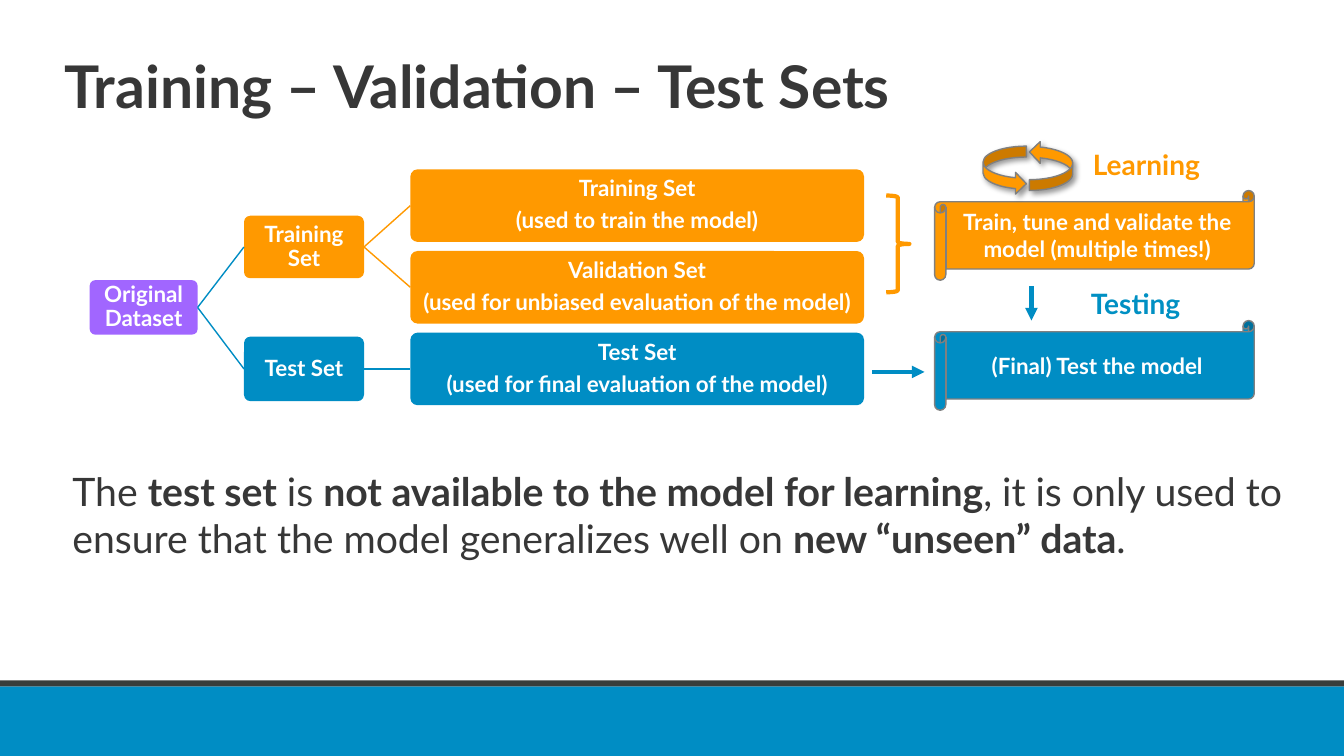
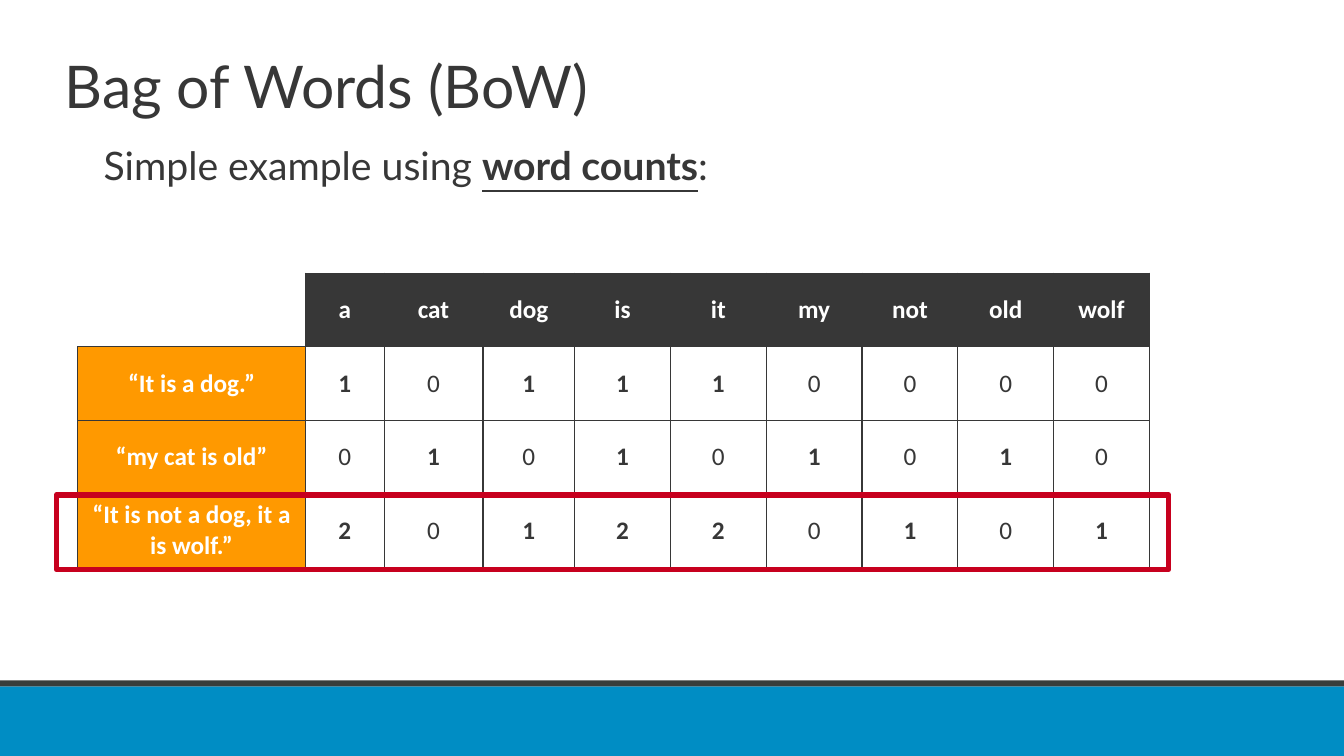
import lxml.etree
import pptx
import pptx.util
import pptx.dml.color
import pptx.enum.shapes
import pptx.enum.text
import pptx.oxml.ns

Inches = pptx.util.Inches
Pt = pptx.util.Pt
qn = pptx.oxml.ns.qn
add = lxml.etree.SubElement
kinds = pptx.enum.shapes.MSO_SHAPE
straight = pptx.enum.shapes.MSO_CONNECTOR.STRAIGHT
align = pptx.enum.text.PP_ALIGN
anchor = pptx.enum.text.MSO_ANCHOR
color = pptx.dml.color.RGBColor.from_string

hues = {
    "blue": "008DC4", "label": "0090C3", "orange": "FF9900",
    "purple": "A166FF", "red": "C7001E", "gray": "808080",
    "ink": "373737", "strip": "383D3B", "white": "FFFFFF",
}


def write(frame, text, size=16, hue="white", bold=False, side=align.CENTER,
          space=1.0, after=0, font="Lato", under=False):
    frame.word_wrap = True
    for n, line in enumerate(text.split("\n")):
        para = frame.paragraphs[0] if n == 0 else frame.add_paragraph()
        para.alignment = side
        para.line_spacing = space
        para.space_before = Pt(0)
        para.space_after = Pt(after)
        for k, part in enumerate(line.split("*")):
            if part:
                run = para.add_run()
                run.text = part
                run.font.name = font
                run.font.size = Pt(size)
                run.font.color.rgb = color(hues[hue])
                run.font.bold = bold or k % 2 == 1
                run.font.underline = under and k % 2 == 1


def draw(slide, kind, spot, fill=None, line=None, width=1):
    shape = slide.shapes.add_shape(kind, *map(Inches, spot))
    shape.shadow.inherit = False
    if fill:
        shape.fill.solid()
        shape.fill.fore_color.rgb = color(hues[fill])
    else:
        shape.fill.background()
    if line:
        shape.line.color.rgb = color(hues[line])
        shape.line.width = Pt(width)
    else:
        shape.line.fill.background()
    return shape


deck = pptx.Presentation()
deck.slide_width = Inches(13.33)
deck.slide_height = Inches(7.5)

slides = []
for text, bold in [("Training – Validation – Test Sets", True),
                   ("Bag of Words (BoW)", False)]:
    slide = deck.slides.add_slide(deck.slide_layouts[5])
    draw(slide, kinds.RECTANGLE, (0, 6.81, 13.33, 0.69), "blue")
    draw(slide, kinds.RECTANGLE, (0, 6.75, 13.33, 0.06), "strip")
    title = slide.shapes.title
    title.left, title.top = Inches(0.54), Inches(0.52)
    title.width, title.height = Inches(11.5), Inches(1.09)
    title.text_frame.vertical_anchor = anchor.TOP
    title.text_frame.auto_size = pptx.enum.text.MSO_AUTO_SIZE.NONE
    write(title.text_frame, text, size=42, hue="ink", bold=bold,
          side=align.LEFT, space=0.9)
    slides.append(slide)
sets, bag = slides

notes = [
    (sets, (0.62, 4.59, 12.31, 1.99),
     "The *test set* is *not available to the model for learning*, it is only "
     "used to ensure that the model generalizes well on *new “unseen” data*.",
     dict(size=28, hue="ink")),
    (sets, (10.74, 1.41, 1.41, 0.44), "Learning",
     dict(size=20, hue="orange", bold=True)),
    (sets, (10.72, 2.79, 1.41, 0.44), "Testing",
     dict(size=20, hue="label", bold=True)),
    (bag, (0.93, 1.41, 11.86, 0.6), "Simple example using *word counts*:",
     dict(size=28, hue="ink", space=0.9, under=True)),
]
for slide, spot, text, style in notes:
    note = slide.shapes.add_textbox(*map(Inches, spot))
    write(note.text_frame, text, side=align.LEFT, **style)

nodes = {}
for name, spot, fill, text in [
    ("root", (0.89, 2.78, 1.07, 0.54), "purple", "Original Dataset"),
    ("train", (2.42, 2.14, 1.19, 0.62), "orange", "Training Set"),
    ("test", (2.42, 3.34, 1.19, 0.64), "blue", "Test Set"),
    ("fit", (4.07, 1.68, 4.5, 0.72), "orange",
     "Training Set\n(used to train the model)"),
    ("check", (4.07, 2.49, 4.5, 0.72), "orange",
     "Validation Set\n(used for unbiased evaluation of the model)"),
    ("final", (4.07, 3.3, 4.5, 0.72), "blue",
     "Test Set\n(used for final evaluation of the model)"),
]:
    node = draw(sets, kinds.ROUNDED_RECTANGLE, spot, fill)
    node.adjustments[0] = 0.1
    frame = node.text_frame
    frame.margin_left = frame.margin_right = Inches(0.03)
    frame.margin_top = frame.margin_bottom = Inches(0.03)
    frame.vertical_anchor = anchor.MIDDLE
    write(frame, text, bold=True, space=0.9, after=5.6)
    nodes[name] = node

for spot, fill, text in [
    ((9.27, 1.89, 3.17, 0.89), "orange",
     "Train, tune and validate the model (multiple times!)"),
    ((9.27, 3.18, 3.17, 0.89), "blue", "(Final) Test the model"),
]:
    scroll = draw(sets, kinds.HORIZONTAL_SCROLL, spot, fill, "gray")
    scroll.text_frame.vertical_anchor = anchor.MIDDLE
    write(scroll.text_frame, text, bold=True)

draw(sets, kinds.RIGHT_BRACE, (8.79, 1.94, 0.23, 0.96), None, "orange", 3)

for kind, spot, flip in [
    (kinds.CURVED_RIGHT_ARROW, (9.75, 1.45, 0.43, 0.48), "0"),
    (kinds.CURVED_LEFT_ARROW, (10.21, 1.4, 0.43, 0.49), "1"),
]:
    loop = draw(sets, kind, spot, "orange", "gray")
    props = loop._element.spPr
    props.find(qn("a:xfrm")).set("flipV", flip)
    shade = add(props.find(qn("a:effectLst")), qn("a:outerShdw"),
                blurRad=str(Pt(4)), dist=str(Pt(3)), dir="2700000",
                algn="tl", rotWithShape="0")
    black = add(shade, qn("a:srgbClr"), val="000000")
    add(black, qn("a:alpha"), val="40000")

links = []
for start, end, hue in [
    ("root", "train", "blue"), ("root", "test", "blue"),
    ("train", "fit", "orange"), ("train", "check", "orange"),
    ("test", "final", "blue"),
]:
    link = sets.shapes.add_connector(straight, 0, 0, 0, 0)
    link.begin_connect(nodes[start], 3)
    link.end_connect(nodes[end], 1)
    links.append((link, hue, 1))
for ends in [(8.65, 3.69, 9.17, 3.69), (10.23, 2.84, 10.23, 3.18)]:
    link = sets.shapes.add_connector(straight, *map(Inches, ends))
    links.append((link, "blue", 3))
for link, hue, width in links:
    link.line.color.rgb = color(hues[hue])
    link.line.width = Pt(width)
    props = link._element.spPr
    if width > 1:
        add(props.find(qn("a:ln")), qn("a:tailEnd"), type="triangle")
    add(props, qn("a:effectLst"))

rows = [
    ["", "a", "cat", "dog", "is", "it", "my", "not", "old", "wolf"],
    ["“It is a dog.”", 1, 0, 1, 1, 1, 0, 0, 0, 0],
    ["“my cat is old”", 0, 1, 0, 1, 0, 1, 0, 1, 0],
    ["“It is not a dog, it a is wolf.”", 2, 0, 1, 2, 2, 0, 1, 0, 1],
]
wide = [2.26, 0.78, 0.98, 0.91] + [0.95] * 6
grid = bag.shapes.add_table(
    len(rows), len(wide), Inches(0.77), Inches(2.71),
    Inches(sum(wide)), Inches(0.73 * len(rows))).table
grid.first_row = grid.horz_banding = False
for col, width in zip(grid.columns, wide):
    col.width = Inches(width)
for r, row in enumerate(rows):
    grid.rows[r].height = Inches(0.73)
    for c, item in enumerate(row):
        cell = grid.cell(r, c)
        cell.vertical_anchor = anchor.MIDDLE
        head = r == 0 or c == 0
        blank = item == ""
        if head and not blank:
            cell.fill.solid()
            cell.fill.fore_color.rgb = color(hues["orange" if r else "ink"])
        else:
            cell.fill.background()
        write(cell.text_frame, str(item), size=18, font="Calibri",
              hue="white" if head else "ink", bold=item != 0)
        props = cell._tc.get_or_add_tcPr()
        for k, edge in enumerate(["lnL", "lnR", "lnT", "lnB"]):
            rule = lxml.etree.Element(qn("a:" + edge), w=str(Pt(1)))
            if blank and edge in ("lnL", "lnT"):
                add(rule, qn("a:noFill"))
            else:
                add(add(rule, qn("a:solidFill")), qn("a:srgbClr"),
                    val=hues["ink"])
            props.insert(k, rule)

draw(bag, kinds.RECTANGLE, (0.56, 4.91, 11.03, 0.74), None, "red", 4)

deck.save("out.pptx")
